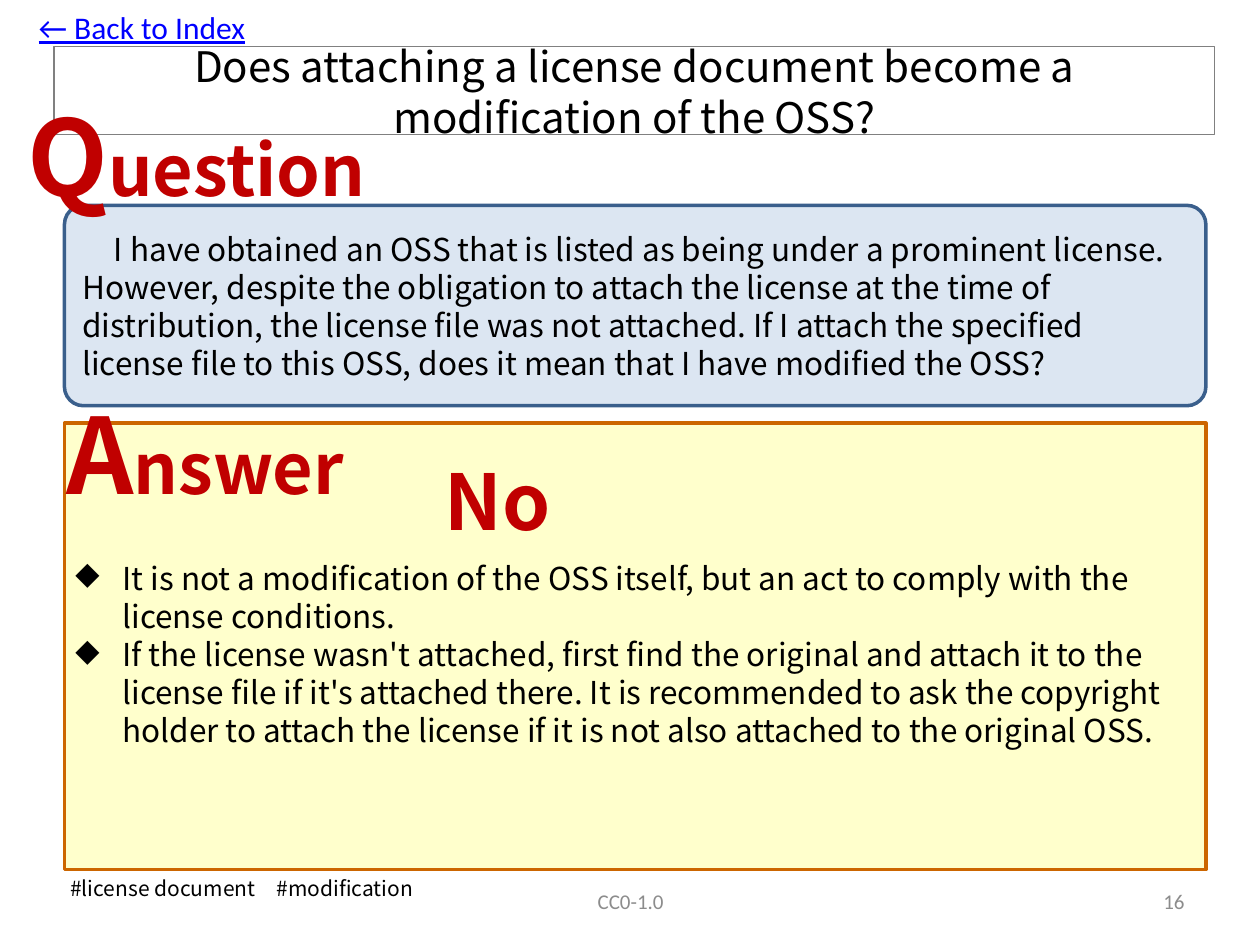
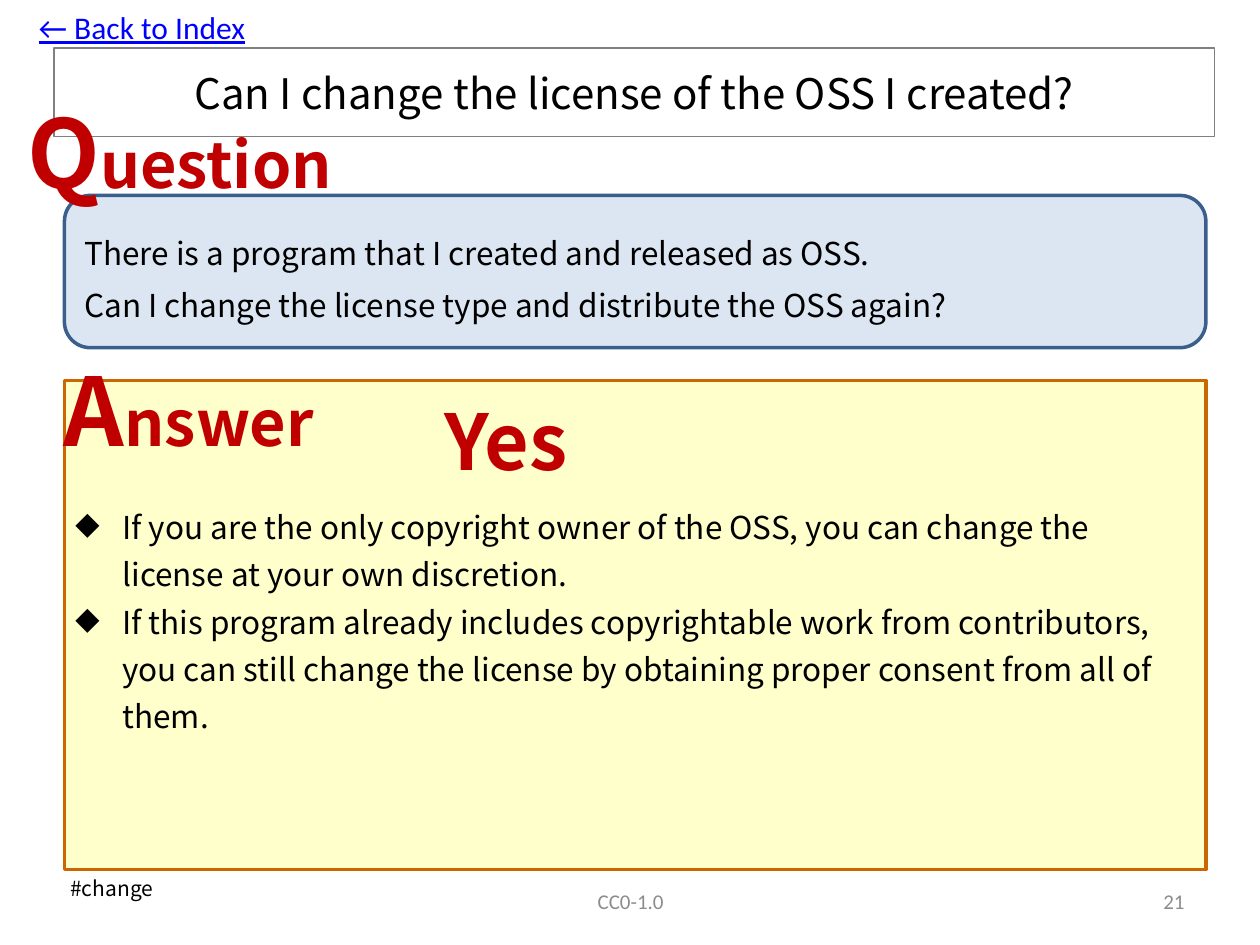
import pptx
import pptx.dml.color
import pptx.enum.shapes
import pptx.enum.text
import pptx.oxml.ns
import pptx.util
from lxml import etree

Cm, Pt = pptx.util.Cm, pptx.util.Pt
FORMS = pptx.enum.shapes.MSO_SHAPE
ALIGN = pptx.enum.text.PP_ALIGN
ANCHOR = pptx.enum.text.MSO_ANCHOR
FIT = pptx.enum.text.MSO_AUTO_SIZE
SANS, PLAIN = "Noto Sans CJK JP", "Calibri"
BLACK, RED, GREY, BLUE = "000000", "C00000", "8C8C8C", "0000FF"
LEFT, WIDTH, BASE = 1.3, 23.01, 17.53
LEAD = 1.21

PAGES = [
    dict(
        title="Does attaching a license document become a modification of the OSS?",
        head=0.94,
        ask=["　I have obtained an OSS that is listed as being under a prominent license. "
             "However, despite the obligation to attach the license at the time of "
             "distribution, the license file was not attached. If I attach the specified "
             "license file to this OSS, does it mean that I have modified the OSS?"],
        box=(4.14, 4.04), curve=0.095, gap=18 * LEAD,
        panel=8.53, verdict="No", span=10.39,
        points=["It is not a modification of the OSS itself, but an act to comply with "
                "the license conditions.",
                "If the license wasn't attached, first find the original and attach it "
                "to the license file if it's attached there. It is recommended to ask the "
                "copyright holder to attach the license if it is not also attached to the "
                "original OSS."],
        list=11.13, lead=18 * LEAD,
        tags="#license document　#modification", room=7.65,
        size=60, tall=2.82, query=(0.3, 1.7, 7.8), reply=(1.09, 7.7, 6.68),
        number="16"),
    dict(
        title="Can I change the license of the OSS I created?",
        head=0.97,
        ask=["There is a program that I created and released as OSS.",
             "Can I change the license type and distribute the OSS again?"],
        box=(3.94, 3.07), curve=0.17, gap=30,
        panel=7.67, verdict="Yes", span=6.4,
        points=["If you are the only copyright owner of the OSS, you can change the "
                "license at your own discretion.",
                "If this program already includes copyrightable work from contributors, "
                "you can still change the license by obtaining proper consent from all "
                "of them."],
        list=9.93, lead=27,
        tags="#change", room=2.36,
        size=54, tall=2.57, query=(0.3, 1.75, 7.06), reply=(1.04, 6.96, 6.07),
        number="21"),
]


def shade(code):
    """Turn a hex string into a colour."""
    return pptx.dml.color.RGBColor.from_string(code)


class Deck:
    """Hold the style and the current slide."""

    def __init__(self):
        """Start an empty deck."""
        self.file = pptx.Presentation()
        self.file.slide_width, self.file.slide_height = Cm(25.4), Cm(19.05)

    def turn(self):
        """Begin a new slide."""
        self.slide = self.file.slides.add_slide(self.file.slide_layouts[6])

    def style(self, run, size, tint=BLACK, face=SANS, bold=False, under=False):
        """Format one run."""
        font = run.font
        font.name, font.size, font.color.rgb = face, Pt(size), shade(tint)
        if bold:
            font.bold = True
        if under:
            font.underline = True

    def fill(self, frame, lines, size, lead=None, align=ALIGN.LEFT, **look):
        """Fill a frame with equal paragraphs."""
        frame.text = "\n".join(lines)
        for para in frame.paragraphs:
            para.alignment = align
            if lead:
                para.line_spacing = Pt(round(lead, 1))
            for run in para.runs:
                self.style(run, size, **look)

    def panel(self, form, top, height, tint, line, left=LEFT, width=WIDTH, thick=2):
        """Draw an outlined shape."""
        shape = self.slide.shapes.add_shape(form, Cm(left), Cm(top), Cm(width), Cm(height))
        shape.shadow.inherit = False
        if tint:
            shape.fill.solid()
            shape.fill.fore_color.rgb = shade(tint)
        else:
            shape.fill.background()
        shape.line.color.rgb = shade(line)
        shape.line.width = Pt(thick)
        shape.text_frame.word_wrap = True
        shape.text_frame.vertical_anchor = ANCHOR.MIDDLE
        return shape

    def label(self, left, top, width, height, lines, size, wrap=True, grow=True,
              anchor=ANCHOR.TOP, **look):
        """Place a text box."""
        box = self.slide.shapes.add_textbox(Cm(left), Cm(top), Cm(width), Cm(height))
        frame = box.text_frame
        frame.word_wrap = wrap
        frame.auto_size = FIT.SHAPE_TO_FIT_TEXT if grow else FIT.NONE
        frame.vertical_anchor = anchor
        self.fill(frame, lines, size, **look)
        return frame

    def banner(self, place, height, word, size):
        """Place a heading with a large first letter."""
        frame = self.label(*place, height, [word[0]], size, wrap=False,
                           lead=size * LEAD, tint=RED, bold=True)
        rest = frame.paragraphs[0].add_run()
        rest.text = word[1:]
        self.style(rest, size * 2 / 3, tint=RED, bold=True)

    def bullets(self, top, lines, lead):
        """Place the answer list."""
        frame = self.label(1.27, top, 23.04, BASE - top, lines, 18, grow=False, lead=lead)
        for para in frame.paragraphs:
            props = para._p.get_or_add_pPr()
            props.set("marL", str(Cm(0.95)))
            props.set("indent", str(Cm(-0.95)))
            mark = etree.SubElement(props, pptx.oxml.ns.qn("a:buChar"))
            mark.set("char", "◆")

    def footer(self, left, width, text, align):
        """Place one footer item."""
        self.label(left, 17.65, width, 1.02, [text], 12, grow=False,
                   anchor=ANCHOR.MIDDLE, align=align, tint=GREY, face=PLAIN)

    def page(self, item):
        """Build one question and answer slide."""
        self.turn()
        self.panel(FORMS.RECTANGLE, item["panel"], BASE - item["panel"], "FFFFCC", "CC6600")
        title = self.panel(FORMS.RECTANGLE, item["head"], 1.78, None, "808080",
                           left=1.09, width=23.39, thick=0.75)
        self.fill(title.text_frame, [item["title"]], 24, lead=24 * LEAD, align=ALIGN.CENTER)
        self.bullets(item["list"], item["points"], item["lead"])
        ask = self.panel(FORMS.ROUNDED_RECTANGLE, *item["box"], "DCE6F2", "3A5F8C")
        ask.adjustments[0] = item["curve"]
        self.fill(ask.text_frame, item["ask"], 18, lead=item["gap"])
        self.label(8.71, item["list"] - 2.13, item["span"], 2.13, [item["verdict"]], 44,
                   lead=44 * LEAD, tint=RED, bold=True)
        self.footer(8.69, 8.05, "CC0-1.0", ALIGN.CENTER)
        self.label(1.17, BASE, item["room"], 0.76, [item["tags"]], 12, wrap=False,
                   lead=12 * LEAD)
        self.banner(item["query"], item["tall"], "Question", item["size"])
        self.banner(item["reply"], item["tall"], "Answer", item["size"])
        self.label(0.53, 0.03, 4.72, 1.02, ["← Back to Index"], 18, wrap=False,
                   tint=BLUE, face=PLAIN, under=True)
        self.footer(18.21, 5.92, item["number"], ALIGN.RIGHT)


def main():
    """Build and save the deck."""
    deck = Deck()
    for item in PAGES:
        deck.page(item)
    deck.file.save("out.pptx")


if __name__ == "__main__":
    main()
